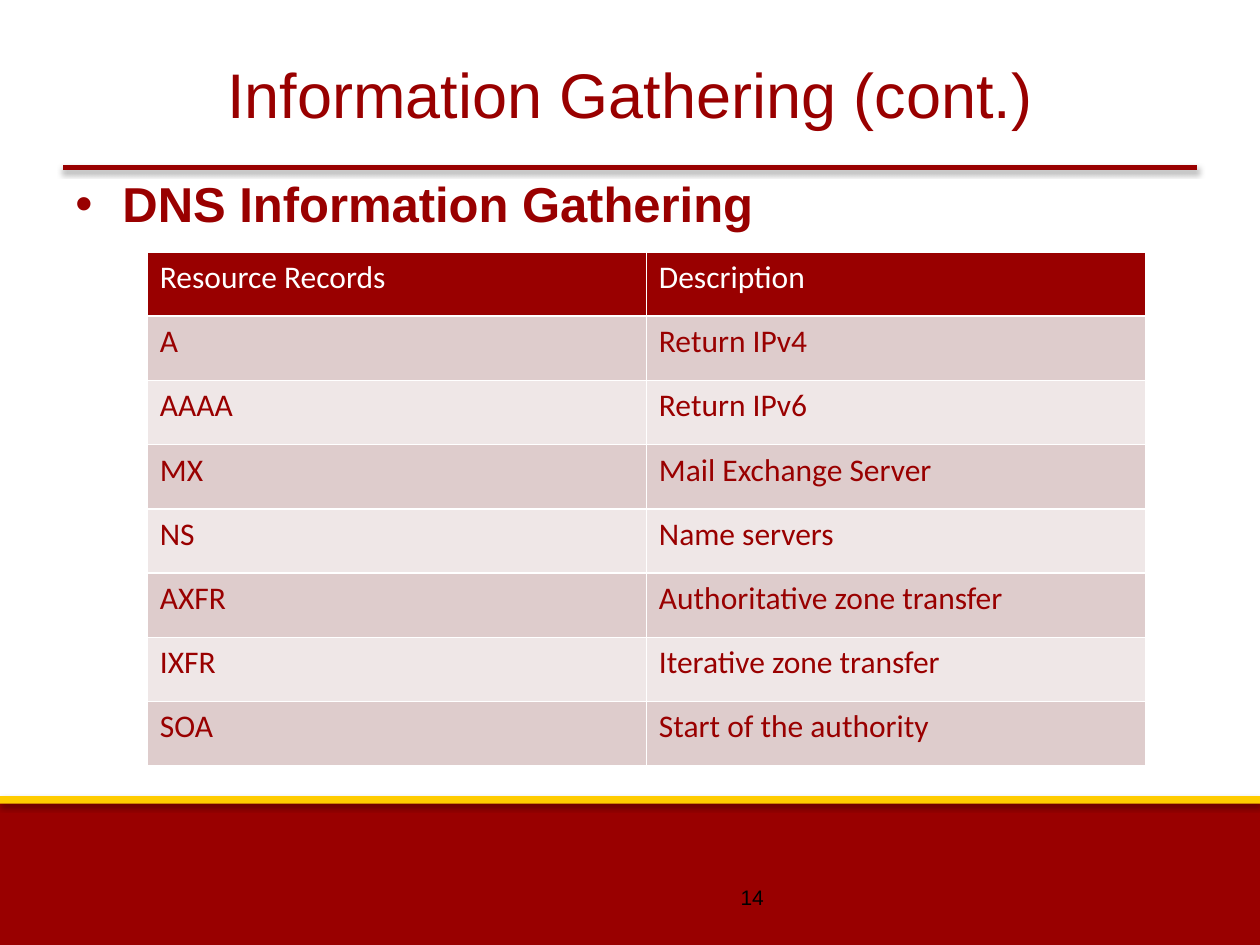
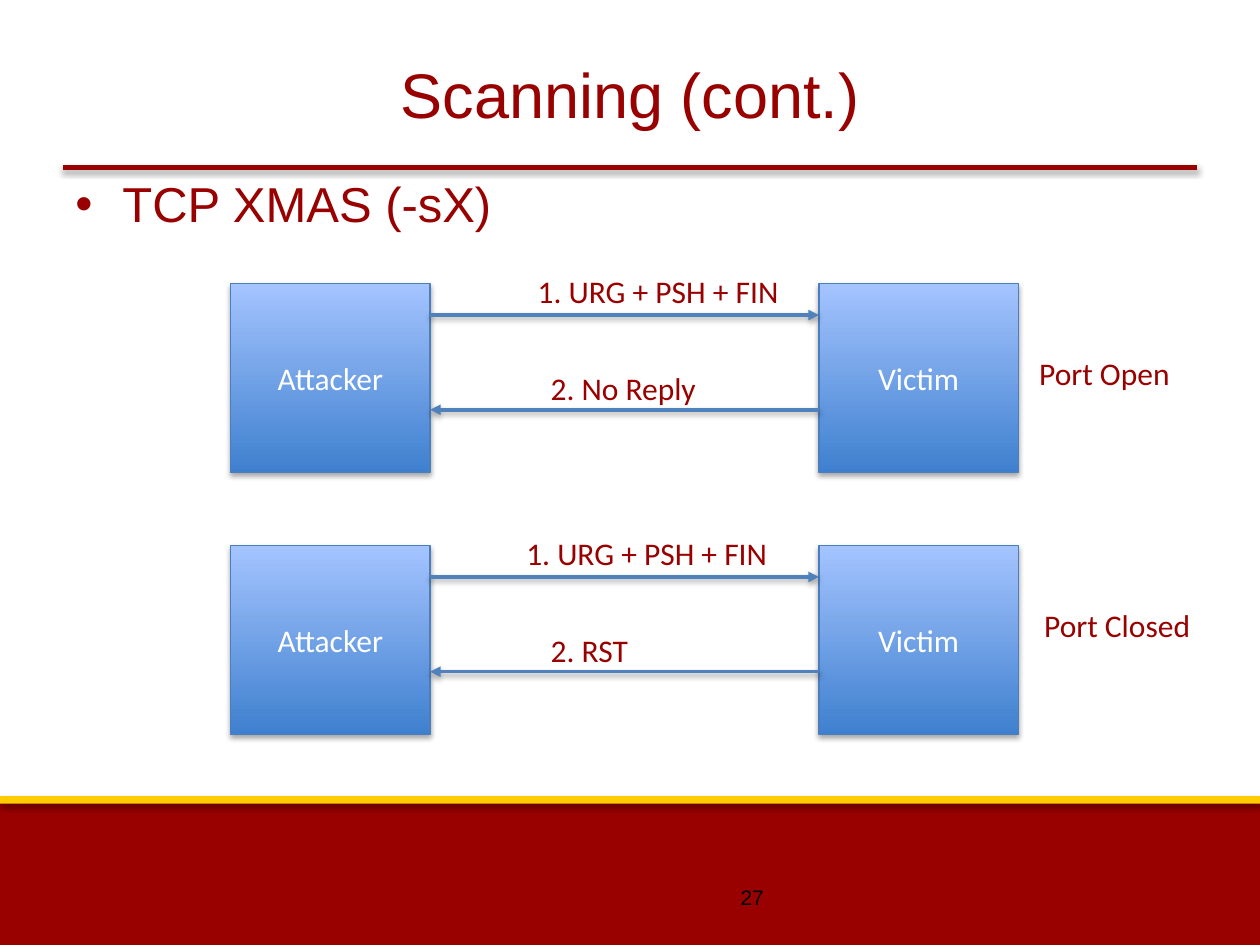
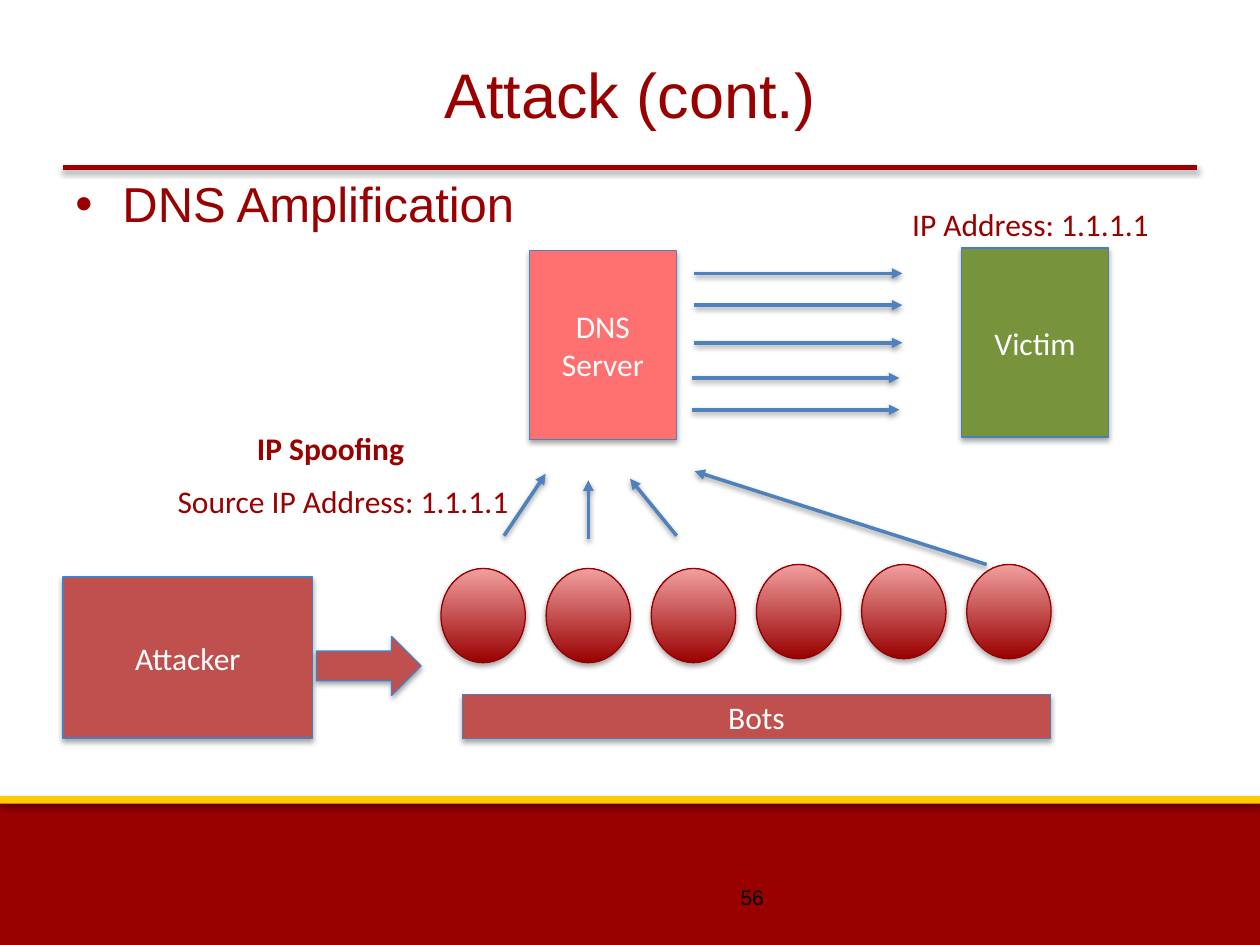
import dataclasses

import pptx
import pptx.dml.color
import pptx.enum.shapes
import pptx.enum.text
import pptx.oxml
import pptx.oxml.ns
import pptx.util

Cm = pptx.util.Cm
Pt = pptx.util.Pt
Shapes = pptx.enum.shapes.MSO_SHAPE
Align = pptx.enum.text.PP_ALIGN
Anchor = pptx.enum.text.MSO_ANCHOR
NAMESPACE = pptx.oxml.ns.nsdecls("a")


@dataclasses.dataclass(frozen=True)
class Theme:
    red: str = "990000"
    gold: str = "FFCC00"
    white: str = "FFFFFF"
    black: str = "000000"
    blue: str = "4F81BD"
    outline: str = "4B7EBC"
    brick: str = "C0504D"
    coral: str = "FF7070"
    olive: str = "77933C"
    bot_outline: str = "960000"
    host_gradient: tuple = ("3F80CE", "A4C4FF")
    bot_gradient: tuple = ("990000", "F19F9F")
    row_fills: tuple = ("DECCCC", "EFE7E7")
    heading_font: str = "Arial"
    label_font: str = "Calibri"
    title_size: int = 36
    body_size: int = 28
    label_size: int = 18
    number_size: int = 12


def rgb(value):
    return pptx.dml.color.RGBColor.from_string(value)


def append_xml(parent, xml):
    parent.append(pptx.oxml.parse_xml(xml))


class Deck:
    label_height = 1.02

    def __init__(self, theme):
        self.theme = theme
        self.presentation = pptx.Presentation()
        self.presentation.slide_width = Cm(25.4)
        self.presentation.slide_height = Cm(19.05)
        self.slide = None

    def add_slide(self, title, topic, number, bold=False):
        theme = self.theme
        layout = self.presentation.slide_layouts[6]
        self.slide = self.presentation.slides.add_slide(layout)
        self.shape((0, 16.13, 25.4, 2.92), theme.red, outline=None)
        self.shape((0, 16.05, 25.4, 0.15), theme.gold, outline=None)
        self.line((1.27, 3.38), (24.13, 3.38), theme.red, 3)
        paragraph = self.text((1.27, 0.76, 22.86, 2.62), title, theme.title_size,
                              theme.heading_font, align=Align.CENTER, anchor=Anchor.MIDDLE)
        paragraph.line_spacing = Pt(32)
        self.text((1.27, 3.38, 22.86, 12.57), topic, theme.body_size,
                  theme.heading_font, bold=bold, bullet=True)
        self.text((9.73, 17.58, 5.92, 1.02), number, theme.number_size,
                  theme.heading_font, theme.black, align=Align.RIGHT, anchor=Anchor.MIDDLE)

    def style(self, paragraph, size, name, color, bold=False):
        font = paragraph.font
        font.size = Pt(size)
        font.name = name
        font.bold = bold
        font.color.rgb = rgb(color)

    def shadow(self, shape, distance, opacity):
        append_xml(shape._element.spPr,
                   f'<a:effectLst {NAMESPACE}><a:outerShdw blurRad="40000" dist="{distance}" '
                   f'dir="5400000" rotWithShape="0"><a:srgbClr val="{self.theme.black}">'
                   f'<a:alpha val="{opacity}"/></a:srgbClr></a:outerShdw></a:effectLst>')

    def text(self, box, content, size, name, color=None, bold=False,
             align=Align.LEFT, anchor=Anchor.TOP, bullet=False, wrap=True):
        frame = self.slide.shapes.add_textbox(*map(Cm, box)).text_frame
        frame.word_wrap = wrap
        frame.vertical_anchor = anchor
        if not wrap:
            frame.auto_size = pptx.enum.text.MSO_AUTO_SIZE.SHAPE_TO_FIT_TEXT
        paragraph = frame.paragraphs[0]
        paragraph.text = content
        paragraph.alignment = align
        if bullet:
            properties = paragraph._p.get_or_add_pPr()
            properties.set("marL", str(Cm(0.95)))
            properties.set("indent", str(-Cm(0.95)))
            append_xml(properties, f'<a:buFont {NAMESPACE} typeface="{name}"/>')
            append_xml(properties, f'<a:buChar {NAMESPACE} char="•"/>')
        self.style(paragraph, size, name, color or self.theme.red, bold)
        return paragraph

    def label(self, left, top, width, content, bold=False):
        self.text((left, top, width, self.label_height), content, self.theme.label_size,
                  self.theme.label_font, bold=bold, wrap=False)

    def shape(self, box, fill, content="", kind=Shapes.RECTANGLE, outline=Theme.outline):
        shape = self.slide.shapes.add_shape(kind, *map(Cm, box))
        if isinstance(fill, tuple):
            shape.fill.gradient()
            shape.fill.gradient_angle = 90
            for stop, color in zip(shape.fill.gradient_stops, fill):
                stop.color.rgb = rgb(color)
        else:
            shape.fill.solid()
            shape.fill.fore_color.rgb = rgb(fill)
        if outline:
            shape.line.color.rgb = rgb(outline)
            shape.line.width = Pt(0.75)
        else:
            shape.line.fill.background()
        self.shadow(shape, 23000, 35000)
        if content:
            frame = shape.text_frame
            frame.word_wrap = True
            frame.vertical_anchor = Anchor.MIDDLE
            paragraph = frame.paragraphs[0]
            paragraph.text = content
            paragraph.alignment = Align.CENTER
            self.style(paragraph, self.theme.label_size, self.theme.label_font,
                       self.theme.white)

    def line(self, start, end, color, width):
        connector = self.slide.shapes.add_connector(
            pptx.enum.shapes.MSO_CONNECTOR.STRAIGHT, *map(Cm, start + end))
        connector.line.color.rgb = rgb(color)
        connector.line.width = Pt(width)
        self.shadow(connector, 20000, 38000)
        return connector

    def arrow(self, start, end):
        connector = self.line(start, end, self.theme.blue, 2)
        append_xml(connector.line._get_or_add_ln(),
                   f'<a:tailEnd {NAMESPACE} type="triangle"/>')

    def table(self, box, rows):
        theme = self.theme
        table = self.slide.shapes.add_table(len(rows), len(rows[0]), *map(Cm, box)).table
        table.first_row = False
        table.horz_banding = False
        for row_index, row in enumerate(rows):
            header = row_index == 0
            fill = theme.red if header else theme.row_fills[(row_index - 1) % 2]
            for column_index, content in enumerate(row):
                cell = table.cell(row_index, column_index)
                paragraph = cell.text_frame.paragraphs[0]
                paragraph.text = content
                self.style(paragraph, theme.label_size, theme.label_font,
                           theme.white if header else theme.red)
                properties = cell._tc.get_or_add_tcPr()
                for side in ("lnL", "lnR", "lnT", "lnB"):
                    append_xml(properties,
                               f'<a:{side} {NAMESPACE} w="12700"><a:solidFill>'
                               f'<a:srgbClr val="{theme.white}"/></a:solidFill></a:{side}>')
                cell.fill.solid()
                cell.fill.fore_color.rgb = rgb(fill)

    def save(self):
        self.presentation.save("out.pptx")


def build_records(deck):
    deck.add_slide("Information Gathering (cont.)", "DNS Information Gathering", "14", bold=True)
    deck.table((2.97, 5.08, 20.12, 10.36), [
        ("Resource Records", "Description"),
        ("A", "Return IPv4"),
        ("AAAA", "Return IPv6"),
        ("MX", "Mail Exchange Server"),
        ("NS", "Name servers"),
        ("AXFR", "Authoritative zone transfer"),
        ("IXFR", "Iterative zone transfer"),
        ("SOA", "Start of the authority"),
    ])


def build_scan(deck):
    deck.add_slide("Scanning (cont.)", "TCP XMAS (-sX)", "27")
    attacker_left, victim_left, host_width = 4.65, 16.51, 4.02
    attacker_right = attacker_left + host_width
    exchanges = [
        (5.72, 10.59, "2. No Reply", 3.48, (20.7, 7.01, 3.18, "Port Open")),
        (11, 10.36, "2. RST", 2.08, (20.8, 12.09, 3.48, "Port Closed")),
    ]
    for top, probe_left, reply, reply_width, port in exchanges:
        for left, host in ((attacker_left, "Attacker"), (victim_left, "Victim")):
            deck.shape((left, top, host_width, 3.81), deck.theme.host_gradient, host)
        probe_y, reply_y = top + 0.63, top + 2.54
        deck.arrow((attacker_right, probe_y), (victim_left, probe_y))
        deck.label(probe_left, top - 0.36, 5.44, "1. URG + PSH + FIN")
        deck.arrow((victim_left, reply_y), (attacker_right, reply_y))
        deck.label(10.85, top + 1.6, reply_width, reply)
        deck.label(*port)


def build_amplification(deck):
    theme = deck.theme
    deck.add_slide("Attack (cont.)", "DNS Amplification", "56")
    deck.shape((1.27, 11.63, 5.03, 3.25), theme.brick, "Attacker")
    deck.shape((10.67, 5.05, 2.97, 3.81), theme.coral, "DNS Server", outline=theme.blue)
    for index in range(6):
        top = 11.46 if index < 3 else 11.38
        deck.shape((8.89 + 2.12 * index, top, 1.7, 1.9), theme.bot_gradient,
                   kind=Shapes.OVAL, outline=theme.bot_outline)
    deck.shape((9.32, 14, 11.86, 0.89), theme.brick, "Bots")
    deck.shape((6.38, 12.83, 2.11, 1.19), theme.brick, kind=Shapes.RIGHT_ARROW)
    queries = [
        ((10.16, 10.8), (11, 9.55)),
        ((19.89, 11.38), (14, 9.5)),
        ((13.64, 10.8), (12.7, 9.65)),
        ((11.86, 10.87), (11.86, 9.68)),
    ]
    for start, end in queries:
        deck.arrow(start, end)
    deck.shape((19.38, 5, 2.97, 3.81), theme.olive, "Victim")
    deck.label(18.14, 4.01, 5.33, "IP Address: 1.1.1.1")
    deck.label(3.33, 9.6, 7.26, "Source IP Address: 1.1.1.1")
    for left, y in ((14, 5.51), (14, 6.15), (14, 6.91), (13.94, 7.62), (13.94, 8.26)):
        deck.arrow((left, y), (left + 4.19, y))
    deck.label(4.93, 8.53, 3.51, "IP Spoofing", bold=True)


def main():
    deck = Deck(Theme())
    build_records(deck)
    build_scan(deck)
    build_amplification(deck)
    deck.save()


if __name__ == "__main__":
    main()
